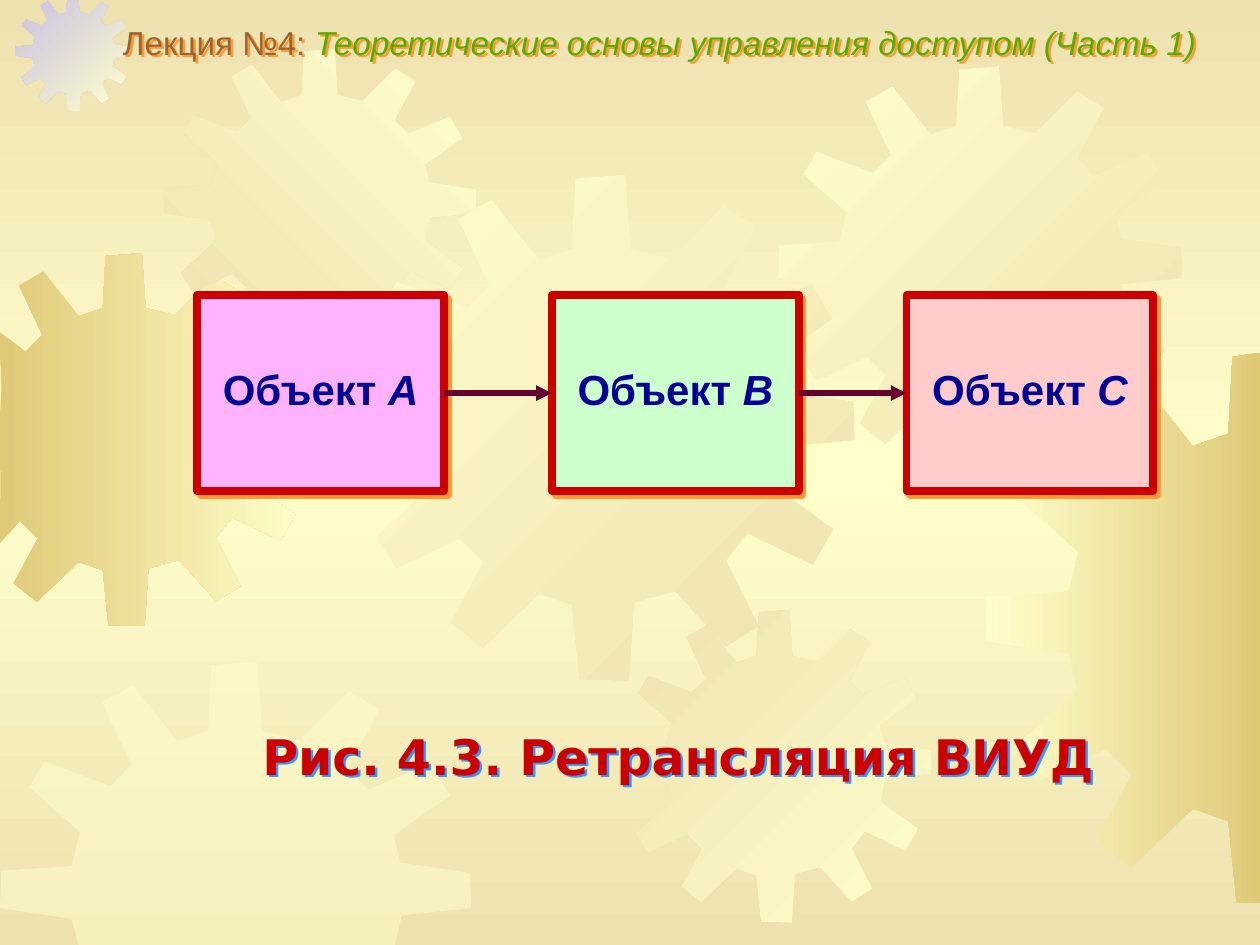
"""Build a lecture slide with three linked objects over a background of gears."""
from dataclasses import dataclass

import pptx
import pptx.dml.color
import pptx.enum.shapes
import pptx.enum.text
import pptx.oxml
import pptx.oxml.ns
import pptx.util
from lxml import etree

qn = pptx.oxml.ns.qn
COLUMNS, ROWS = 100, 75
GEAR_SPAN = 401
GEAR = [
    (255, 67), (223, 59), (219, 0), (180, 3), (177, 59), (151, 68), (113, 20), (87, 35),
    (112, 88), (94, 106), (38, 85), (25, 107), (68, 145), (61, 174), (1, 178), (0, 210),
    (61, 219), (67, 246), (22, 287), (38, 312), (88, 288), (107, 307), (81, 355), (106, 375),
    (151, 332), (177, 341), (183, 400), (222, 401), (226, 339), (259, 330), (299, 374), (325, 358),
    (299, 306), (316, 284), (368, 309), (384, 281), (336, 246), (342, 216), (401, 210), (400, 180),
    (341, 171), (335, 148), (383, 114), (367, 87), (313, 109), (296, 91), (323, 41), (297, 25),
]


@dataclass(frozen=True)
class Theme:
    """Colours, fonts and type sizes of the slide."""
    light: str = "FFFFCC"
    sand: str = "EDE1AF"
    gold: str = "DFC977"
    lilac: str = "CAC0E2"
    brown: str = "996633"
    green: str = "56AC00"
    red: str = "CC0000"
    navy: str = "000099"
    wine: str = "660033"
    orange: str = "FF9933"
    blue: str = "3399FF"
    pink: str = "FFB3FF"
    mint: str = "CCFFCC"
    rose: str = "FFCCCC"
    body_font: str = "Arial"
    caption_font: str = "DejaVu Sans"
    title_size: int = 19
    box_size: int = 24
    caption_size: int = 28


def rgb(color):
    """Return a colour object for a hex string."""
    return pptx.dml.color.RGBColor.from_string(color)


class SlideBuilder:
    """Hold the theme and the current slide, and draw its elements on a grid."""

    def __init__(self, theme):
        """Start a presentation with one title-only slide."""
        self.theme = theme
        self.prs = pptx.Presentation()
        self.prs.slide_width = pptx.util.Inches(10)
        self.prs.slide_height = pptx.util.Inches(7.5)
        self.s = self.prs.slides.add_slide(self.prs.slide_layouts[5])

    def x(self, columns):
        """Turn columns into a length."""
        return round(self.prs.slide_width * columns / COLUMNS)

    def y(self, rows):
        """Turn rows into a length."""
        return round(self.prs.slide_height * rows / ROWS)

    def area(self, left, top, width, height):
        """Turn a grid area into lengths."""
        return self.x(left), self.y(top), self.x(width), self.y(height)

    def gradient(self, fill, element, colors, angle):
        """Fill an element with evenly spaced colours, clockwise by angle."""
        fill.gradient()
        stops = "".join(
            f'<a:gs pos="{round(100000 * i / (len(colors) - 1))}"><a:srgbClr val="{c}"/></a:gs>'
            for i, c in enumerate(colors))
        new = pptx.oxml.parse_xml(
            f'<a:gradFill {pptx.oxml.ns.nsdecls("a")} rotWithShape="1"><a:gsLst>{stops}</a:gsLst>'
            f'<a:lin ang="{angle * 60000}" scaled="0"/></a:gradFill>')
        old = element.find(f".//{qn('a:gradFill')}")
        old.getparent().replace(old, new)

    def shadow(self, shape, color, distance):
        """Give a shape a sharp shadow towards the lower right."""
        shape.shadow.inherit = False
        effects = shape._element.spPr.find(qn("a:effectLst"))
        outer = etree.SubElement(effects, qn("a:outerShdw"), blurRad="0",
                                 dist=str(pptx.util.Pt(distance)), dir="2700000",
                                 algn="ctr", rotWithShape="0")
        etree.SubElement(outer, qn("a:srgbClr"), val=color)

    def background(self, colors):
        """Fill the slide background from top to bottom."""
        self.gradient(self.s.background.fill, self.s._element, colors, 90)

    def gear(self, left, top, size, colors, angle=0):
        """Draw a gear kept within the slide; a single colour is half transparent."""
        unit = size / GEAR_SPAN
        points = [(self.x(min(max(left + px * unit, 0), COLUMNS)),
                   self.y(min(max(top + py * unit, 0), ROWS))) for px, py in GEAR]
        builder = self.s.shapes.build_freeform(*points[0])
        builder.add_line_segments(points[1:], close=True)
        sp = builder.convert_to_shape()
        sp.shadow.inherit = False
        sp.line.fill.background()
        if len(colors) > 1:
            self.gradient(sp.fill, sp._element.spPr, colors, angle)
        else:
            sp.fill.solid()
            sp.fill.fore_color.rgb = rgb(colors[0])
            color = sp._element.spPr.find(f"{qn('a:solidFill')}/{qn('a:srgbClr')}")
            etree.SubElement(color, qn("a:alpha"), val="50000")

    def text(self, shape, runs, font, size, align, bold=False, spacing=1.0):
        """Set one paragraph of (text, colour, italic) runs, centred vertically."""
        tf = shape.text_frame
        tf.word_wrap = True
        tf.auto_size = pptx.enum.text.MSO_AUTO_SIZE.NONE
        tf.margin_left = tf.margin_right = tf.margin_top = tf.margin_bottom = 0
        tf.vertical_anchor = pptx.enum.text.MSO_ANCHOR.MIDDLE
        p = tf.paragraphs[0]
        p.alignment = align
        p.line_spacing = spacing
        p.font.name = font
        p.font.size = pptx.util.Pt(size)
        p.font.bold = bold
        for words, color, italic in runs:
            r = p.add_run()
            r.text = words
            r.font.color.rgb = rgb(color)
            r.font.italic = italic

    def title(self, area, runs):
        """Place the title above everything drawn so far."""
        sp = self.s.shapes.title
        self.s.shapes._spTree.append(sp._element)
        sp.left, sp.top, sp.width, sp.height = self.area(*area)
        self.shadow(sp, self.theme.orange, 2)
        self.text(sp, runs, self.theme.body_font, self.theme.title_size,
                  pptx.enum.text.PP_ALIGN.LEFT, spacing=0.9)

    def caption(self, area, words):
        """Add the figure caption."""
        sp = self.s.shapes.add_textbox(*self.area(*area))
        self.shadow(sp, self.theme.blue, 2)
        self.text(sp, [(words, self.theme.red, False)], self.theme.caption_font,
                  self.theme.caption_size, pptx.enum.text.PP_ALIGN.CENTER, bold=True,
                  spacing=pptx.util.Pt(self.theme.caption_size))

    def box(self, area, letter, color):
        """Add an object box and return it."""
        sp = self.s.shapes.add_shape(pptx.enum.shapes.MSO_SHAPE.RECTANGLE, *self.area(*area))
        sp.fill.solid()
        sp.fill.fore_color.rgb = rgb(color)
        sp.line.color.rgb = rgb(self.theme.red)
        sp.line.width = pptx.util.Pt(4.5)
        self.shadow(sp, self.theme.orange, 3)
        self.text(sp, [("Объект ", self.theme.navy, False), (letter, self.theme.navy, True)],
                  self.theme.body_font, self.theme.box_size,
                  pptx.enum.text.PP_ALIGN.CENTER, bold=True, spacing=0.8)
        return sp

    def arrow(self, source, target):
        """Join the right side of one box to the left side of the next."""
        line = self.s.shapes.add_connector(pptx.enum.shapes.MSO_CONNECTOR.STRAIGHT, 0, 0, 0, 0)
        line.begin_connect(source, 3)
        line.end_connect(target, 1)
        line.line.color.rgb = rgb(self.theme.wine)
        line.line.width = pptx.util.Pt(3)
        etree.SubElement(line._element.spPr.find(qn("a:ln")), qn("a:tailEnd"), type="triangle")
        etree.SubElement(line._element.spPr, qn("a:effectLst"))


def main():
    """Draw the slide and save it."""
    t = Theme()
    b = SlideBuilder(t)
    b.background([t.sand, t.light, t.sand])
    b.gear(-4.9, 20.1, 29.6, [t.gold, t.light])
    b.gear(1.2, -0.4, 9.2, [t.lilac, t.light], 45)
    b.gear(13, 3.9, 24.8, [t.sand, t.light], 315)
    b.gear(27.7, 13.9, 40.1, [t.light, t.sand], 45)
    b.gear(0, 52.5, 37.4, [t.light])
    b.gear(49.1, 48.4, 24.8, [t.sand, t.light], 45)
    b.gear(61.8, 5.3, 32, [t.light, t.sand], 45)
    b.gear(78.2, 28, 43.7, [t.light, t.gold])
    b.caption((10.1, 58.4, 87.4, 3.9), "Рис. 4.3. Ретрансляция ВИУД")
    b.title((9.75, 2.1, 90.25, 2.9), [
        ("Лекция №4: ", t.brown, False),
        ("Теоретические основы управления доступом (Часть 1)", t.green, True)])
    objects = [("А", t.pink), ("В", t.mint), ("С", t.rose)]
    boxes = [b.box((15.65 + 28.15 * i, 23.4, 19.6, 15.6), letter, color)
             for i, (letter, color) in enumerate(objects)]
    for source, target in zip(boxes, boxes[1:]):
        b.arrow(source, target)
    b.prs.save("out.pptx")


if __name__ == "__main__":
    main()
